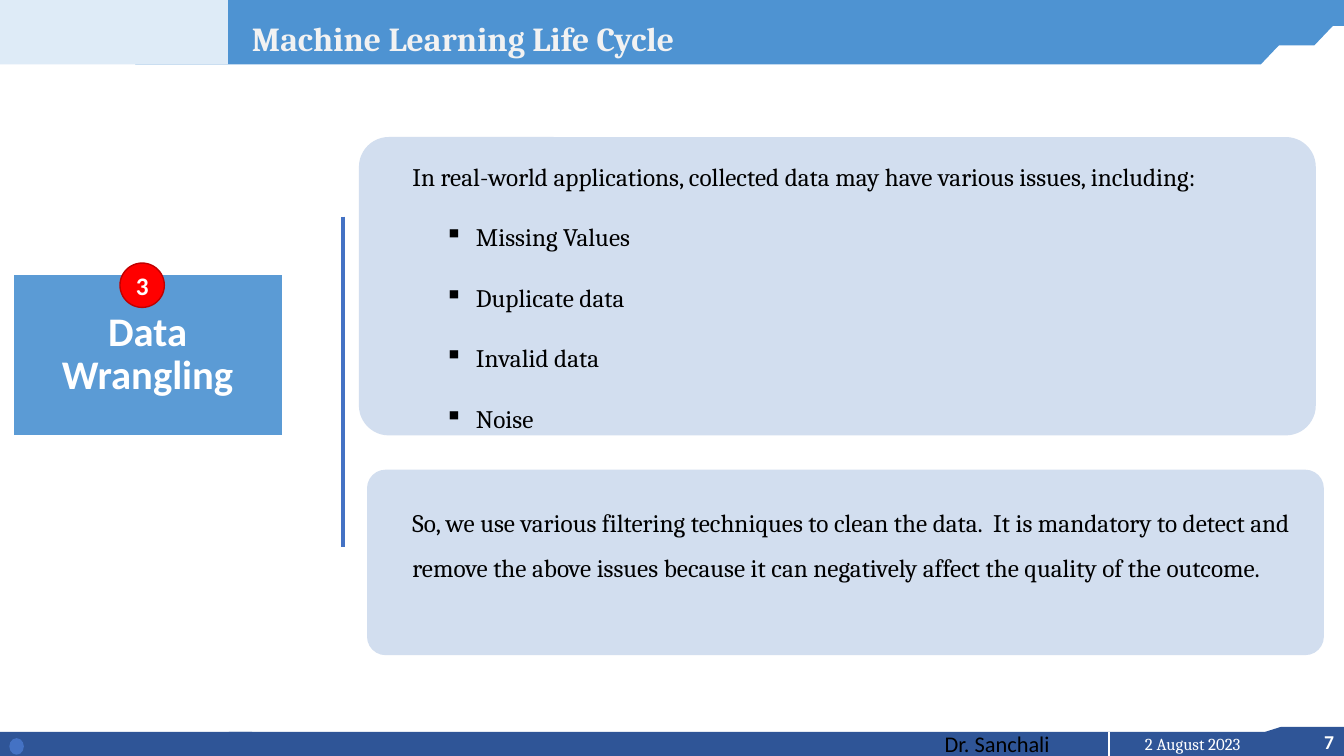
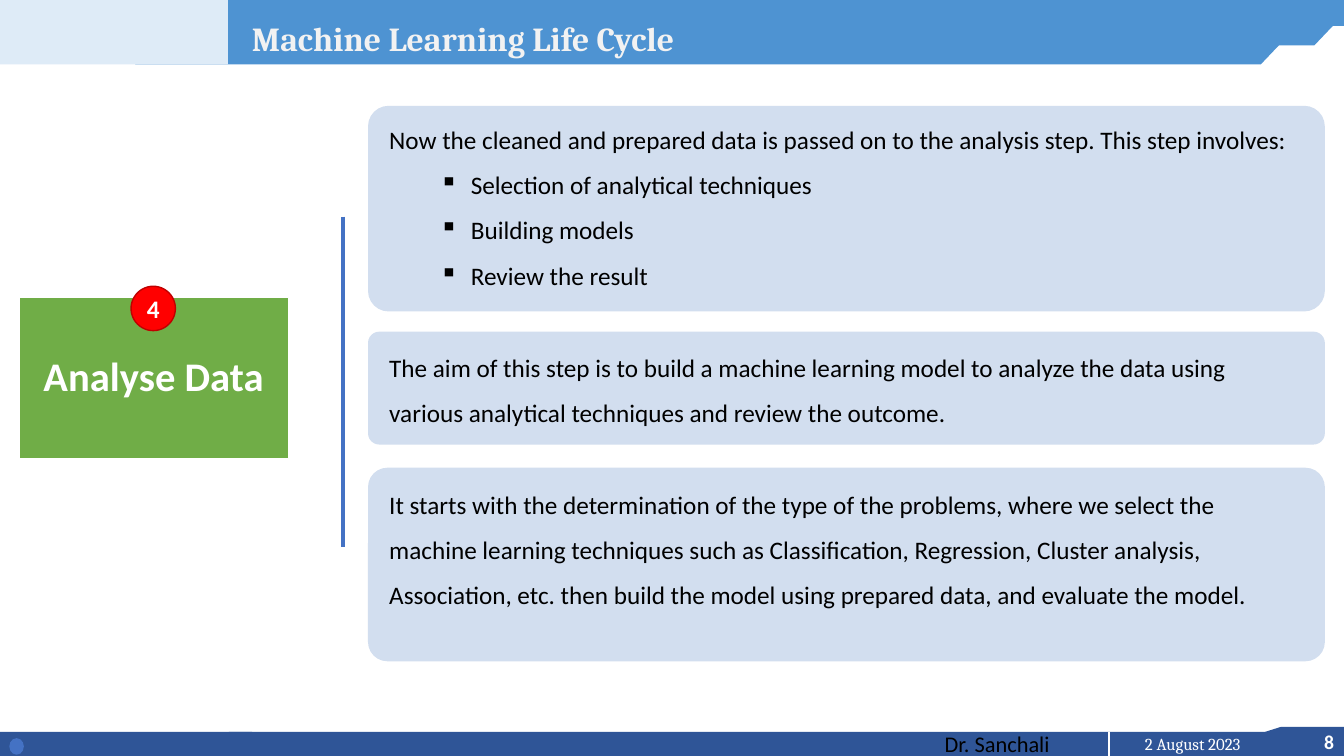
from lxml.etree import SubElement
from pptx import Presentation
from pptx.dml.color import RGBColor
from pptx.enum.shapes import MSO_CONNECTOR, MSO_SHAPE as SHAPE
from pptx.enum.text import MSO_ANCHOR as ANCHOR, PP_ALIGN as ALIGN
from pptx.oxml.ns import qn
from pptx.util import Inches, Pt

# Shared palette and fonts
WHITE, BLACK = "FFFFFF", "000000"
HEADER, HEADER_TAB, TITLE = "4E93D2", "DEEBF7", "F2F2F2"
FOOTER, ACCENT, CARD = "2F5597", "4472C4", "D2DEEF"
BADGE, BADGE_EDGE = "FF0000", "C00000"
SANS, SERIF = "Calibri", "Cambria"

CARD_WIDTH = 9.49
CARD_CORNER = 0.1
CORNER_INSET = 0.29 * CARD_CORNER  # text inset of a rounded corner, per unit of height


def color(value):
    return RGBColor.from_string(value)


# Basic elements
def add_shape(page, kind, left, top, width, height, fill, edge=None, adjust=None):
    shape = page.shapes.add_shape(
        kind, Inches(left), Inches(top), Inches(width), Inches(height))
    shape.shadow.inherit = False
    shape.fill.solid()
    shape.fill.fore_color.rgb = color(fill)
    if edge:
        shape.line.color.rgb = color(edge)
        shape.line.width = Pt(1)
    else:
        shape.line.fill.background()
    if adjust is not None:
        shape.adjustments[0] = adjust
    return shape


def add_line(page, left, top, bottom, shade, width):
    line = page.shapes.add_connector(
        MSO_CONNECTOR.STRAIGHT, Inches(left), Inches(top), Inches(left), Inches(bottom))
    line.line.color.rgb = color(shade)
    line.line.width = Pt(width)
    SubElement(line._element.spPr, qn("a:effectLst"))


def set_frame(shape, margins, anchor):
    frame = shape.text_frame
    frame.word_wrap = True
    frame.vertical_anchor = anchor
    (frame.margin_left, frame.margin_top,
     frame.margin_right, frame.margin_bottom) = map(Inches, margins)
    return frame


def write(para, text, size, font, shade, bold=False, align=ALIGN.LEFT, spacing=1.0):
    para.alignment = align
    para.line_spacing = spacing
    span = para.add_run()
    span.text = text
    span.font.size = Pt(size)
    span.font.name = font
    span.font.bold = bold
    span.font.color.rgb = color(shade)


def add_text(page, left, top, width, height, text, *style, **options):
    box = page.shapes.add_textbox(
        Inches(left), Inches(top), Inches(width), Inches(height))
    frame = set_frame(box, (0.1, 0.05, 0.1, 0.05), ANCHOR.TOP)
    write(frame.paragraphs[0], text, *style, **options)


def add_bullet(para, indent):
    props = para._p.get_or_add_pPr()
    props.set("marL", str(Inches(indent)))
    props.set("indent", str(Inches(-0.31)))
    SubElement(props, qn("a:buChar")).set("char", "▪")


# Slide parts
def add_header(page, title):
    for left, top, width, height, slant in (
            (1.82, -0.01, 11.53, 0.27, 0),
            (1.93, 0.11, 11.43, 0.34, 0.95),
            (1.34, 0.36, 11.43, 0.28, 0.95)):
        add_shape(page, SHAPE.PARALLELOGRAM, left, top, width, height, HEADER, adjust=slant)
    add_shape(page, SHAPE.RECTANGLE, 0, -0.01, 2.26, 0.65, HEADER_TAB)
    add_text(page, 2.4, 0.13, 10.52, 0.5, title, 24, SERIF, TITLE, bold=True)


def add_footer(page, number):
    add_shape(page, SHAPE.FLOWCHART_CARD, 12.55, 7.21, 0.79, 0.25, FOOTER)
    add_shape(page, SHAPE.RECTANGLE, -0.01, 7.26, 2.51, 0.26, FOOTER)
    band = add_shape(page, SHAPE.RECTANGLE, 2.27, 7.26, 11.07, 0.24, FOOTER)
    frame = set_frame(band, (7.1, 0, 0, 0), ANCHOR.MIDDLE)
    write(frame.paragraphs[0], "Dr. Sanchali", 16, SANS, BLACK)
    add_text(page, 12.43, 7.19, 0.9, 0.34, str(number), 14, SANS, WHITE,
             bold=True, align=ALIGN.RIGHT)
    add_text(page, 11, 7.23, 1.66, 0.3, "2 August 2023", 12, SERIF, WHITE,
             align=ALIGN.CENTER)
    add_line(page, 11, 7.26, 7.51, WHITE, 1.5)
    add_shape(page, SHAPE.FLOWCHART_CONNECTOR, 0.1, 7.33, 0.13, 0.15, ACCENT, ACCENT)


def add_step(page, left, top, name, fill, number, badge_left):
    tile = add_shape(page, SHAPE.RECTANGLE, left, top, 2.67, 1.6, fill, WHITE)
    frame = set_frame(tile, (0.12,) * 4, ANCHOR.MIDDLE)
    write(frame.paragraphs[0], name, 29, SANS, WHITE, bold=True,
          align=ALIGN.CENTER, spacing=0.9)
    badge = add_shape(page, SHAPE.OVAL, badge_left, top - 0.11, 0.44, 0.44,
                      BADGE, BADGE_EDGE)
    frame = set_frame(badge, (0,) * 4, ANCHOR.MIDDLE)
    write(frame.paragraphs[0], str(number), 18, SANS, WHITE, bold=True,
          align=ALIGN.CENTER)
    add_line(page, 3.4, 2.15, 5.43, ACCENT, 3)


def add_card(page, left, top, height, text_area, font, text,
             spacing=1.5, bullets=(), indent=0):
    """Draw a card; text_area gives the left, top and right edge of its text."""
    text_left, text_top, text_right = text_area
    card = add_shape(page, SHAPE.ROUNDED_RECTANGLE, left, top, CARD_WIDTH, height,
                     CARD, adjust=CARD_CORNER)
    inset = CORNER_INSET * height
    margins = (text_left - left - inset, text_top - top - inset,
               left + CARD_WIDTH - text_right - inset, 0)
    frame = set_frame(card, margins, ANCHOR.TOP)
    write(frame.paragraphs[0], text, 18, font, BLACK,
          spacing=1.0 if bullets else spacing)
    for item in bullets:
        para = frame.add_paragraph()
        write(para, item, 18, font, BLACK, spacing=spacing)
        add_bullet(para, indent)


def add_page(deck, number):
    page = deck.slides.add_slide(deck.slide_layouts[6])
    add_footer(page, number)
    add_header(page, "Machine Learning Life Cycle")
    return page


# Slides
def build_wrangling(deck):
    page = add_page(deck, 7)
    add_step(page, 0.13, 2.72, "Data Wrangling", "5B9BD5", 3, 1.19)
    add_card(page, 3.56, 1.36, 2.96, (4.09, 1.6, 12.9), SERIF,
             "In real-world applications, collected data may have various issues, including:",
             spacing=2.0, indent=0.63,
             bullets=("Missing Values", "Duplicate data", "Invalid data", "Noise"))
    add_card(page, 3.64, 4.66, 1.84, (4.09, 4.88, 12.9), SERIF,
             "So, we use various filtering techniques to clean the data.  It is mandatory "
             "to detect and remove the above issues because it can negatively affect the "
             "quality of the outcome.")


def build_analysis(deck):
    page = add_page(deck, 8)
    add_step(page, 0.19, 2.95, "Analyse Data", "70AD47", 4, 1.3)
    add_card(page, 3.65, 1.05, 2.04, (3.86, 1.23, 12.82), SANS,
             "Now the cleaned and prepared data is passed on to the analysis step. "
             "This step involves:", indent=0.81,
             bullets=("Selection of analytical techniques", "Building models",
                      "Review the result"))
    add_card(page, 3.65, 3.29, 1.12, (3.86, 3.34, 12.82), SANS,
             "The aim of this step is to build a machine learning model to analyze the "
             "data using various analytical techniques and review the outcome.")
    add_card(page, 3.65, 4.64, 1.92, (3.86, 4.7, 12.82), SANS,
             "It starts with the determination of the type of the problems, where we "
             "select the machine learning techniques such as Classification, Regression, "
             "Cluster analysis, Association, etc. then build the model using prepared "
             "data, and evaluate the model.")


def main():
    deck = Presentation()
    deck.slide_width, deck.slide_height = Inches(13.33), Inches(7.5)
    build_wrangling(deck)
    build_analysis(deck)
    deck.save("out.pptx")


if __name__ == "__main__":
    main()
